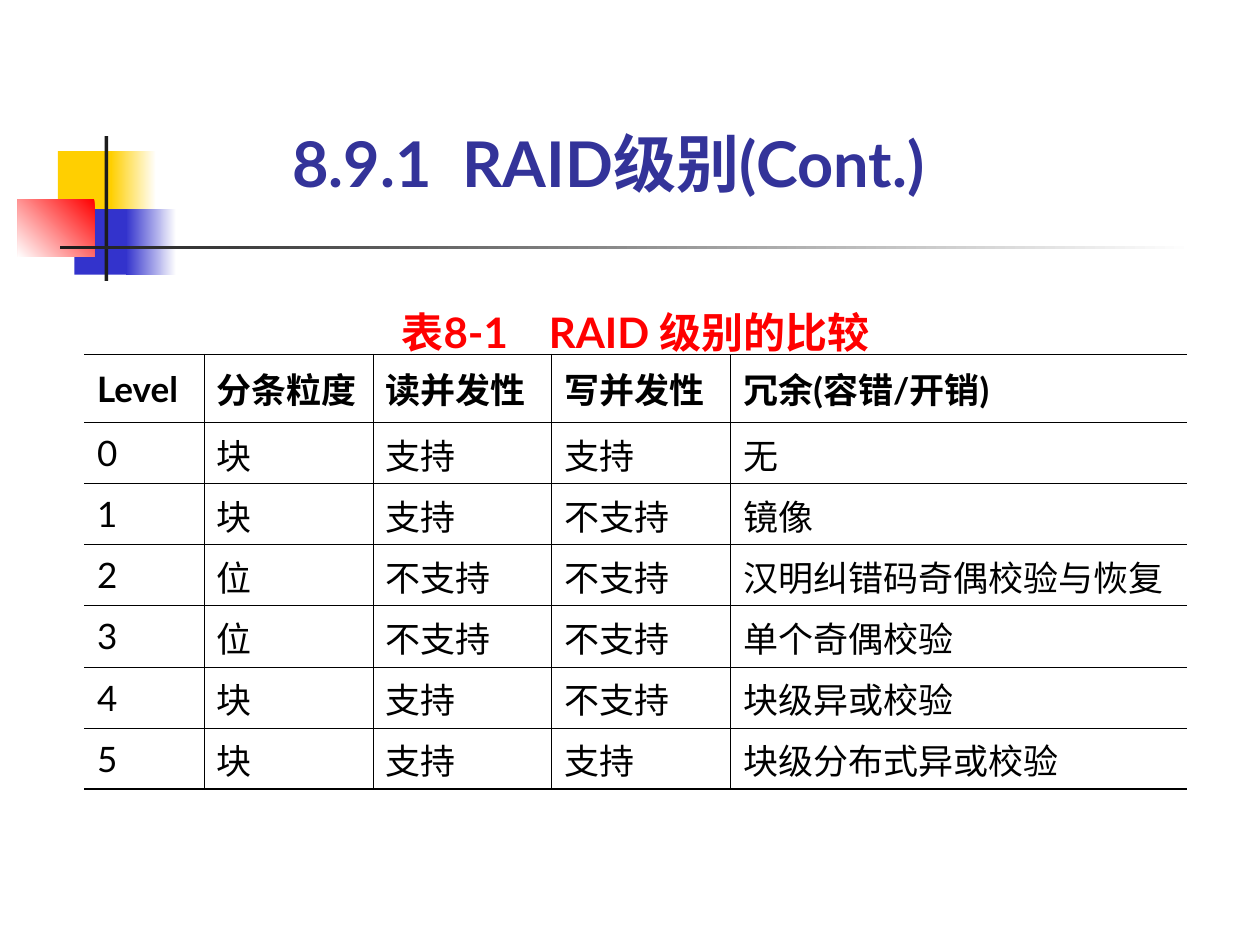
from dataclasses import dataclass

from lxml import etree
from pptx import Presentation
from pptx.dml.color import RGBColor
from pptx.enum import shapes, text
from pptx.oxml.ns import qn
from pptx.util import Inches, Pt


@dataclass
class Theme:
    font: str = "Lato"
    white: str = "FFFFFF"
    black: str = "000000"
    dark: str = "1C1C1C"
    gold: str = "FFCF01"
    blue: str = "3333CC"
    red: str = "FF0000"
    title: str = "333399"
    title_size: int = 36
    caption_size: int = 24
    body_size: int = 20
    thin: float = 0.45
    thick: float = 1.08


T = Theme()

# Content
TITLE = "8.9.1  RAID级别(Cont.)"
CAPTION = "表8-1    RAID 级别的比较"
ROWS = [
    ("Level", "分条粒度", "读并发性", "写并发性", "冗余(容错/开销)"),
    ("0", "块", "支持", "支持", "无"),
    ("1", "块", "支持", "不支持", "镜像"),
    ("2", "位", "不支持", "不支持", "汉明纠错码奇偶校验与恢复"),
    ("3", "位", "不支持", "不支持", "单个奇偶校验"),
    ("4", "块", "支持", "不支持", "块级异或校验"),
    ("5", "块", "支持", "支持", "块级分布式异或校验"),
]
WIDTHS = [0.95, 1.34, 1.42, 1.42, 3.62]
HEAD_H, ROW_H = 0.54, 0.485

# Ornament: left, top, width, height, colours, gradient angle
ORNAMENT = [
    (0.46, 1.2, 0.48, 0.52, [T.gold], None),
    (0.88, 1.2, 0.36, 0.52, [T.white, T.gold], 180),
    (0.59, 1.66, 0.46, 0.52, [T.blue], None),
    (1, 1.66, 0.4, 0.52, [T.white, T.blue], 180),
    (0.14, 1.58, 0.61, 0.46, [T.red, T.white], 225),
    (0.83, 1.08, 0.03, 1.15, [T.dark], None),
    (0.48, 1.95, 9, 0.03, [T.white, T.dark], 180),
]


def rgb(code):
    return RGBColor.from_string(code)


def write(frame, words, size, color, bold=False, align=text.PP_ALIGN.LEFT):
    para = frame.paragraphs[0]
    para.alignment = align
    run = para.add_run()
    run.text = words
    font = run.font
    font.name, font.size, font.bold = T.font, Pt(size), bold
    font.color.rgb = rgb(color)


def add_block(slide, left, top, width, height, colors, angle):
    block = slide.shapes.add_shape(
        shapes.MSO_SHAPE.RECTANGLE, *map(Inches, (left, top, width, height)))
    block.shadow.inherit = False
    block.line.fill.background()
    if angle is None:
        block.fill.solid()
        block.fill.fore_color.rgb = rgb(colors[0])
        return
    block.fill.gradient()
    block.fill.gradient_angle = angle
    for place, (stop, color) in enumerate(zip(block.fill.gradient_stops, colors)):
        stop.position = place
        stop.color.rgb = rgb(color)


def set_edges(cell, left, right, top, bottom):
    """Draw each side at its width in points; 0 means no line."""
    props = cell._tc.get_or_add_tcPr()
    for side, width in zip("LRTB", (left, right, top, bottom)):
        line = etree.SubElement(props, qn(f"a:ln{side}"), w=str(Pt(width)))
        if not width:
            etree.SubElement(line, qn("a:noFill"))
            continue
        fill = etree.SubElement(line, qn("a:solidFill"))
        etree.SubElement(fill, qn("a:srgbClr"), val=T.black)
    cell.fill.background()


def set_insets(cell, side, top, bottom):
    cell.margin_left = cell.margin_right = Inches(side)
    cell.margin_top, cell.margin_bottom = Inches(top), Inches(bottom)


def add_levels(slide):
    count, last = len(WIDTHS), len(ROWS)
    heights = [ROW_H, HEAD_H] + [ROW_H] * (last - 1)
    frame = slide.shapes.add_table(
        last + 1, count, Inches(0.67), Inches(2.33),
        Inches(sum(WIDTHS)), Inches(sum(heights)))
    table = frame.table
    table.first_row = table.horz_banding = False
    # Plain style without grid
    style = table._tbl.tblPr.find(qn("a:tableStyleId"))
    style.text = "{2D5ABB26-0587-4C30-8999-92F81FD0307C}"
    for col, width in zip(table.columns, WIDTHS):
        col.width = Inches(width)
    for row, height in zip(table.rows, heights):
        row.height = Inches(height)

    # Caption row
    for c in range(count):
        set_edges(table.cell(0, c), 0, 0, 0, T.thick)
    title = table.cell(0, 0)
    title.merge(table.cell(0, count - 1))
    set_insets(title, 0, 0.05, 0)
    write(title.text_frame, CAPTION, T.caption_size, T.red, True,
          text.PP_ALIGN.CENTER)

    # Header and level rows
    for r, row in enumerate(ROWS, 1):
        for c, words in enumerate(row):
            cell = table.cell(r, c)
            set_edges(cell,
                      T.thin if c else 0,
                      T.thin if c < count - 1 else 0,
                      T.thick if r <= 2 else T.thin,
                      T.thick if r in (1, last) else T.thin)
            set_insets(cell, 0.1, 0.05, 0.05)
            cell.vertical_anchor = text.MSO_ANCHOR.MIDDLE
            write(cell.text_frame, words, T.body_size, T.black, r == 1)


def main():
    deck = Presentation()
    deck.slide_width, deck.slide_height = Inches(10), Inches(7.5)
    slide = deck.slides.add_slide(deck.slide_layouts[5])

    for block in ORNAMENT:
        add_block(slide, *block)

    # Title
    head = slide.shapes.title
    head.left, head.top = Inches(2.32), Inches(0.99)
    head.width, head.height = Inches(5.77), Inches(0.6)
    frame = head.text_frame
    frame.margin_left = frame.margin_right = 0
    frame.margin_top = frame.margin_bottom = 0
    frame.vertical_anchor = text.MSO_ANCHOR.BOTTOM
    frame.auto_size = text.MSO_AUTO_SIZE.SHAPE_TO_FIT_TEXT
    write(frame, TITLE, T.title_size, T.title, True)

    add_levels(slide)
    deck.save("out.pptx")


if __name__ == "__main__":
    main()
